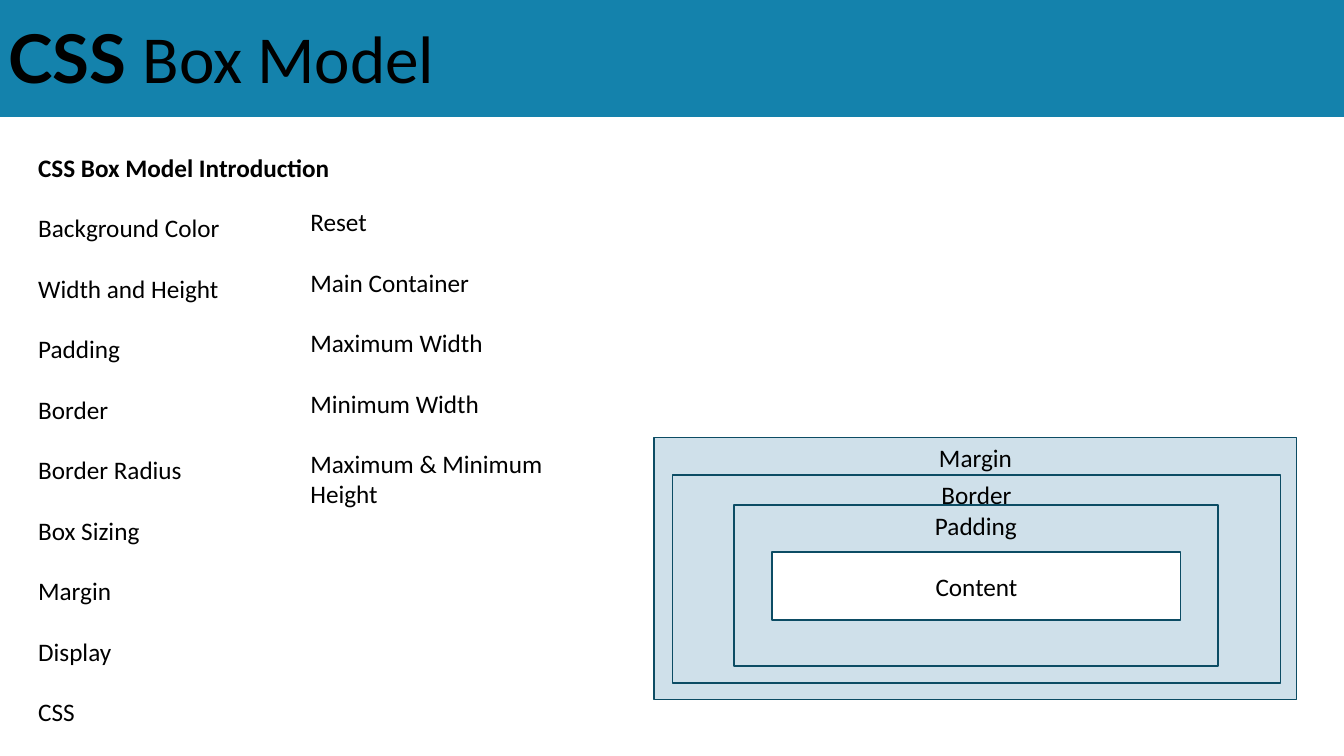
from pptx import Presentation
from pptx.dml.color import RGBColor
from pptx.enum import shapes, text
from pptx.util import Inches, Pt

BLUE = RGBColor(0x14, 0x82, 0xAC)
PALE_BLUE = RGBColor(0xCF, 0xE0, 0xEA)
DARK_BLUE = RGBColor(0x0C, 0x4C, 0x64)
WHITE = RGBColor(0xFF, 0xFF, 0xFF)
BLACK = RGBColor(0, 0, 0)

BASIC_TOPICS = ["CSS Box Model Introduction", "Background Color", "Width and Height",
                "Padding", "Border", "Border Radius", "Box Sizing", "Margin",
                "Display", "CSS"]
SIZING_TOPICS = ["Reset", "Main Container", "Maximum Width", "Minimum Width",
                 "Maximum & Minimum Height"]

# Label, fill, and left, top, width, height within the diagram
BOX_LAYERS = [
    ("Margin", PALE_BLUE, (0, 0, 6.37, 2.6)),
    ("Border", PALE_BLUE, (0.18, 0.37, 6.03, 2.07)),
    ("Padding", None, (0.79, 0.67, 4.8, 1.6)),
    ("Content", WHITE, (1.17, 1.14, 4.05, 0.67)),
]


def format_paragraph(paragraph, size=18):
    paragraph.font.name = "Calibri"
    paragraph.font.size = Pt(size)
    paragraph.font.color.rgb = BLACK


def add_title_banner(slide, left, top, width, height):
    title = slide.shapes.title
    title.left, title.top = Inches(left), Inches(top)
    title.width, title.height = Inches(width), Inches(height)
    title.fill.solid()
    title.fill.fore_color.rgb = BLUE

    frame = title.text_frame
    frame.auto_size = text.MSO_AUTO_SIZE.NONE
    frame.vertical_anchor = text.MSO_ANCHOR.MIDDLE
    frame.margin_left = frame.margin_right = Inches(0.08)
    frame.margin_top = frame.margin_bottom = Inches(0.04)

    paragraph = frame.paragraphs[0]
    paragraph.alignment = text.PP_ALIGN.LEFT
    format_paragraph(paragraph, 48)
    language = paragraph.add_run()
    language.text = "CSS "
    language.font.name = "Lato"
    language.font.bold = True
    paragraph.add_run().text = "Box Model"


def add_topics(slide, topics, left, top, width, height):
    box = slide.shapes.add_textbox(Inches(left), Inches(top), Inches(width), Inches(height))
    frame = box.text_frame
    frame.word_wrap = True
    frame.text = "\n".join(topics)
    for paragraph in frame.paragraphs:
        format_paragraph(paragraph)
        paragraph.space_after = Pt(21.6)
    return frame


def add_box_model(slide, left, top):
    """Draw the nested boxes from the margin inwards."""
    for label, fill, (x, y, width, height) in BOX_LAYERS:
        layer = slide.shapes.add_shape(
            shapes.MSO_SHAPE.RECTANGLE, Inches(left + x), Inches(top + y),
            Inches(width), Inches(height))
        layer.shadow.inherit = False
        layer.line.color.rgb = DARK_BLUE
        layer.line.width = Pt(1.25)
        if fill is None:
            layer.fill.background()
        else:
            layer.fill.solid()
            layer.fill.fore_color.rgb = fill

        frame = layer.text_frame
        is_content = label == "Content"
        frame.vertical_anchor = text.MSO_ANCHOR.MIDDLE if is_content else text.MSO_ANCHOR.TOP
        frame.text = label
        paragraph = frame.paragraphs[0]
        paragraph.alignment = text.PP_ALIGN.CENTER
        format_paragraph(paragraph)


def main():
    presentation = Presentation()
    presentation.slide_width = Inches(13.33)
    presentation.slide_height = Inches(7.5)
    slide = presentation.slides.add_slide(presentation.slide_layouts.get_by_name("Title Only"))

    add_title_banner(slide, 0, -0.03, 13.33, 1.19)
    basics = add_topics(slide, BASIC_TOPICS, 0.28, 1.46, 3.51, 5.86)
    basics.paragraphs[0].font.bold = True
    add_topics(slide, SIZING_TOPICS, 2.98, 2, 3.1, 2.83)
    add_box_model(slide, 6.49, 4.34)

    presentation.save("out.pptx")


if __name__ == "__main__":
    main()
